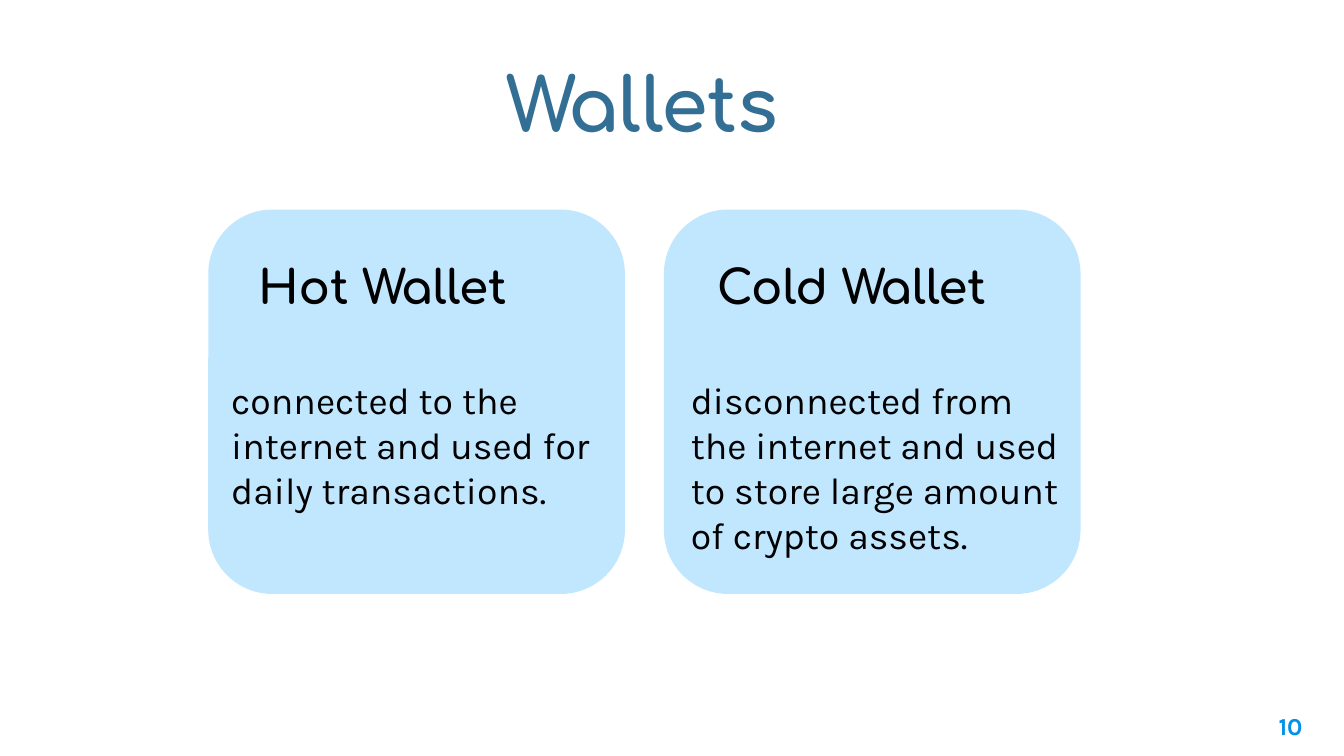
from pptx import Presentation
from pptx.dml.color import RGBColor
from pptx.enum.shapes import MSO_SHAPE
from pptx.enum.text import MSO_ANCHOR, MSO_AUTO_SIZE, PP_ALIGN
from pptx.oxml.xmlchemy import OxmlElement
from pptx.util import Inches, Pt

BLUE = RGBColor(0x33, 0x6E, 0x94)
PALE = RGBColor(0xC1, 0xE7, 0xFF)
BRIGHT = RGBColor(0x00, 0x91, 0xEA)
BLACK = RGBColor(0, 0, 0)

deck = Presentation()
deck.slide_width = Inches(10)
deck.slide_height = deck.slide_width * 9 // 16
slide = deck.slides.add_slide(deck.slide_layouts[4])
title, *parts = slide.placeholders


def place(shape, left, top, width, height):
    shape.left, shape.top = Inches(left), Inches(top)
    shape.width, shape.height = Inches(width), Inches(height)


def write(shape, text, face, size, color, bold, align, anchor=MSO_ANCHOR.TOP):
    frame = shape.text_frame
    frame.word_wrap = True
    frame.auto_size = MSO_AUTO_SIZE.NONE
    frame.vertical_anchor = anchor
    frame.margin_left = frame.margin_right = Inches(0.1)
    frame.margin_top = frame.margin_bottom = Inches(0.1)
    frame.text = text
    para = frame.paragraphs[0]
    props = para._p.get_or_add_pPr()
    props.set("marL", "0")
    props.set("indent", "0")
    props.append(OxmlElement("a:buNone"))
    para.alignment = align
    para.space_before = Pt(0)
    font = para.font
    font.name, font.size, font.bold = face, Pt(size), bold
    font.color.rgb = color


place(title, 3.67, 0.47, 2.45, 0.58)
write(title, "Wallets", "Comfortaa", 40, BLUE, True, PP_ALIGN.LEFT, MSO_ANCHOR.MIDDLE)

wallets = [
    ("Hot Wallet", "connected to the internet and used for daily transactions.",
     1.55, 1.62, 1.62, 1.21),
    ("Cold Wallet", "disconnected from the internet and used to store large amount of crypto assets.",
     4.94, 5.11, 5.04, 1.89),
]
for (name, note, edge, head_x, body_x, tall), head, body in zip(wallets, parts[::2], parts[1::2]):
    card = slide.shapes.add_shape(MSO_SHAPE.ROUNDED_RECTANGLE, 0, 0, 0, 0)
    place(card, edge, 1.56, 3.1, 2.86)
    card.shadow.inherit = False
    card.fill.solid()
    card.fill.fore_color.rgb = PALE
    card.line.fill.background()
    title.element.addprevious(card.element)
    place(head, head_x, 1.82, 2.45, 0.62)
    write(head, name, "Comfortaa", 25, BLACK, True, PP_ALIGN.CENTER)
    place(body, body_x, 2.71, 3, tall)
    write(body, note, "Karla", 20, BLACK, False, PP_ALIGN.LEFT)

number = slide.shapes.add_textbox(0, 0, 0, 0)
place(number, 9.19, 5.19, 0.6, 0.43)
write(number, "10", "Karla", 13, BRIGHT, True, PP_ALIGN.RIGHT)

deck.save("out.pptx")
